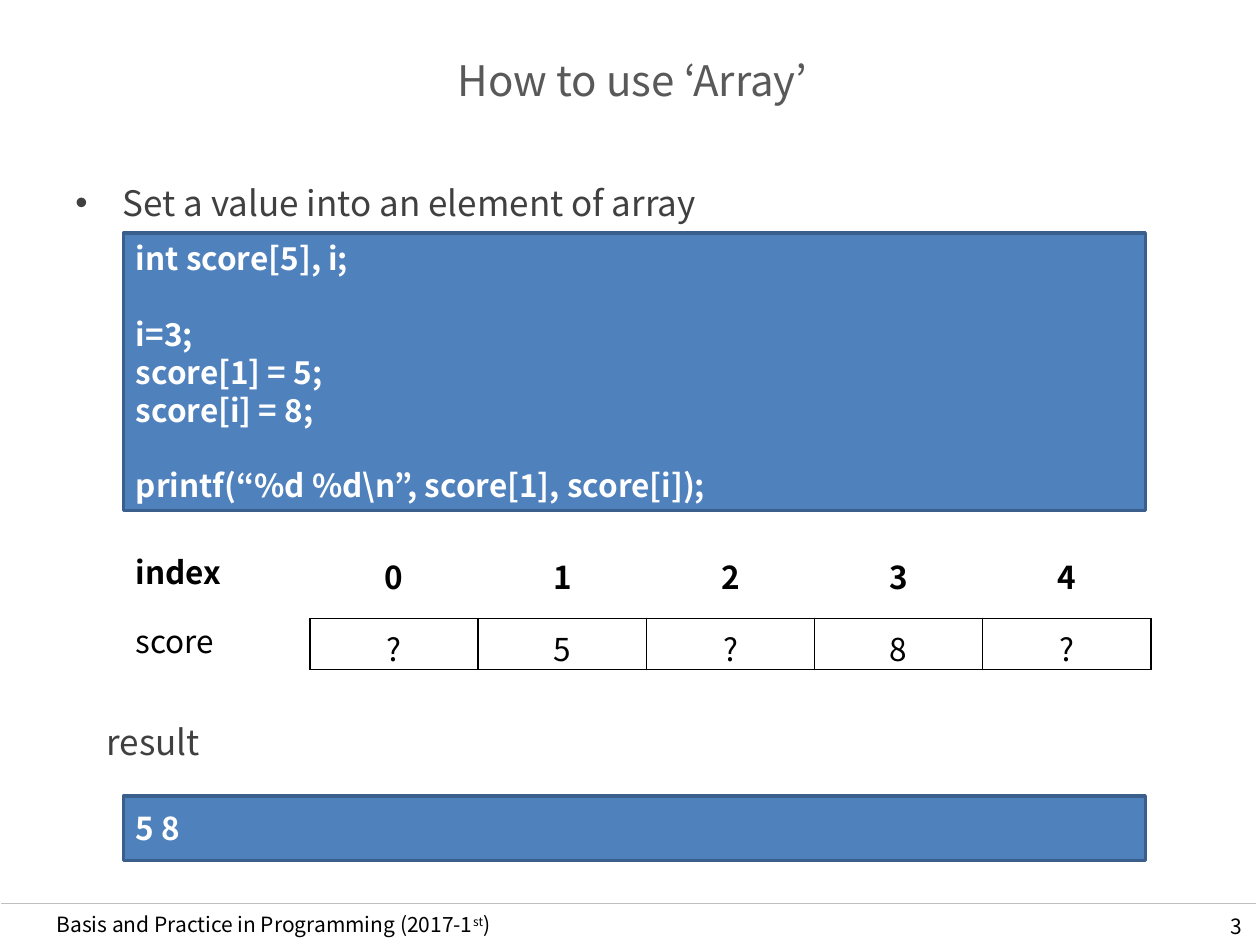
from dataclasses import dataclass
from lxml.etree import SubElement
from pptx import Presentation
from pptx.dml.color import RGBColor
from pptx.enum.shapes import MSO_CONNECTOR as Connector, MSO_SHAPE as Shape
from pptx.enum.text import MSO_ANCHOR as Anchor, PP_ALIGN as Align
from pptx.oxml.ns import qn
from pptx.util import Cm, Pt


@dataclass(frozen=True)
class Theme:
    """Colours, font and type sizes of the slide."""
    font: str = "Noto Sans CJK KR"
    black: str = "000000"
    white: str = "FFFFFF"
    title: str = "595959"
    body: str = "404040"
    rule: str = "BFBFBF"
    panel: str = "4F81BD"
    panel_line: str = "3A5F8C"
    title_size: int = 24
    body_size: int = 20
    code_size: int = 18
    footer_size: int = 12


THEME = Theme()


def color(value):
    """Return a colour object for a hex string."""
    return RGBColor.from_string(value)


def style_font(font, size, tone, bold=False):
    """Apply the theme font with a size, colour and weight."""
    font.name, font.size, font.bold = THEME.font, Pt(size), bold
    font.color.rgb = color(tone)


def add_run(paragraph, text, size, tone, bold=False):
    """Add one formatted run to a paragraph."""
    run = paragraph.add_run()
    run.text = text
    style_font(run.font, size, tone, bold)
    return run


def add_text(slide, box, text, size, tone, bold=False):
    """Add a wrapping text box and return its paragraph."""
    frame = slide.shapes.add_textbox(*map(Cm, box)).text_frame
    frame.word_wrap = True
    paragraph = frame.paragraphs[0]
    if text:
        add_run(paragraph, text, size, tone, bold)
    return paragraph


def set_title(slide, box, text):
    """Place and format the title placeholder."""
    title = slide.shapes.title
    title.left, title.top, title.width, title.height = map(Cm, box)
    title.text_frame.vertical_anchor = Anchor.MIDDLE
    paragraph = title.text_frame.paragraphs[0]
    paragraph.alignment = Align.CENTER
    add_run(paragraph, text, THEME.title_size, THEME.title)


def add_bullet(slide, box, text):
    """Add a bulleted line with a hanging indent."""
    paragraph = add_text(slide, box, text, THEME.body_size, THEME.body)
    properties = paragraph._p.get_or_add_pPr()
    properties.set("marL", str(Cm(0.95)))
    properties.set("indent", str(-Cm(0.95)))
    SubElement(properties, qn("a:buFont")).set("typeface", "Arial")
    SubElement(properties, qn("a:buChar")).set("char", "•")


def add_panel(slide, box, groups):
    """Add a blue panel holding groups of code lines, one line apart."""
    panel = slide.shapes.add_shape(Shape.RECTANGLE, *map(Cm, box))
    panel.shadow.inherit = False
    panel.fill.solid()
    panel.fill.fore_color.rgb = color(THEME.panel)
    panel.line.color.rgb = color(THEME.panel_line)
    panel.line.width = Pt(2)
    frame = panel.text_frame
    frame.word_wrap = True
    frame.vertical_anchor = Anchor.MIDDLE
    paragraph = None
    for group in groups:
        for position, line in enumerate(group):
            starts_group = paragraph is not None and position == 0
            paragraph = frame.add_paragraph() if paragraph else frame.paragraphs[0]
            paragraph.alignment = Align.LEFT
            if starts_group:
                paragraph.space_before = Pt(THEME.code_size * 1.2)
            add_run(paragraph, line, THEME.code_size, THEME.white, True)


def set_borders(cell, visible):
    """Draw or hide all four borders of a table cell."""
    properties = cell._tc.get_or_add_tcPr()
    for position, side in enumerate(("lnL", "lnR", "lnT", "lnB")):
        line = properties.makeelement(qn(f"a:{side}"), {"w": str(Pt(1))})
        properties.insert(position, line)
        if visible:
            fill = SubElement(line, qn("a:solidFill"))
            SubElement(fill, qn("a:srgbClr")).set("val", THEME.black)
        else:
            SubElement(line, qn("a:noFill"))


def add_array_table(slide, left, top, column_width, heights, rows):
    """Add the array table with bare indexes above boxed values."""
    columns = len(rows[0])
    frame = slide.shapes.add_table(len(rows), columns, Cm(left), Cm(top),
                                   Cm(column_width * columns), Cm(sum(heights)))
    table = frame.table
    table.first_row = table.horz_banding = False
    for column in table.columns:
        column.width = Cm(column_width)
    for row_index, (height, values) in enumerate(zip(heights, rows)):
        table.rows[row_index].height = Cm(height)
        for column_index, value in enumerate(values):
            cell = table.cell(row_index, column_index)
            cell.fill.background()
            set_borders(cell, row_index > 0)
            paragraph = cell.text_frame.paragraphs[0]
            paragraph.alignment = Align.CENTER
            add_run(paragraph, value, THEME.code_size, THEME.black, row_index == 0)


def add_footer(slide):
    """Add the rule, course name and slide number."""
    rule = slide.shapes.add_connector(Connector.STRAIGHT, Cm(0.03), Cm(18.21),
                                      Cm(25.32), Cm(18.21))
    rule.line.color.rgb = color(THEME.rule)
    rule.line.width = Pt(0.75)
    SubElement(rule._element.spPr, qn("a:effectLst"))
    course = add_text(slide, (0.89, 18.26, 11.99, 0.76), "", 0, "")
    for text, baseline in (("Basis and Practice in Programming (2017-1", 0),
                           ("st", 30000), (")", 0)):
        run = add_run(course, text, THEME.footer_size, THEME.black)
        run.font._element.set("baseline", str(baseline))
    number = add_text(slide, (19.38, 18.29, 5.92, 0.71), "3",
                      THEME.footer_size, THEME.black)
    number.alignment = Align.RIGHT


def main():
    """Build and save the slide."""
    presentation = Presentation()
    presentation.slide_width, presentation.slide_height = Cm(25.4), Cm(19.05)
    slide = presentation.slides.add_slide(presentation.slide_layouts[5])
    add_footer(slide)
    set_title(slide, (1.32, 0.91, 22.86, 1.4), "How to use ‘Array’")
    add_bullet(slide, (1.27, 3.53, 22.86, 1.1), "Set a value into an element of array")
    add_panel(slide, (2.49, 4.7, 20.6, 5.59), (
        ("int score[5], i;",),
        ("i=3;", "score[1] = 5;", "score[i] = 8;"),
        ("printf(“%d %d\\n”, score[1], score[i]);",),
    ))
    add_array_table(slide, 6.25, 11.02, 3.39, (1.45, 1.03), ("01234", "?5?8?"))
    for label, top, bold in (("index", 11.02, True), ("score", 12.42, False)):
        add_text(slide, (2.49, top, 3.4, 1.03), label,
                 THEME.code_size, THEME.black, bold)
    add_text(slide, (1.9, 14.4, 4, 1.1), "result", THEME.body_size, THEME.body)
    add_panel(slide, (2.49, 16.05, 20.6, 1.3), (("5 8",),))
    presentation.save("out.pptx")


if __name__ == "__main__":
    main()
